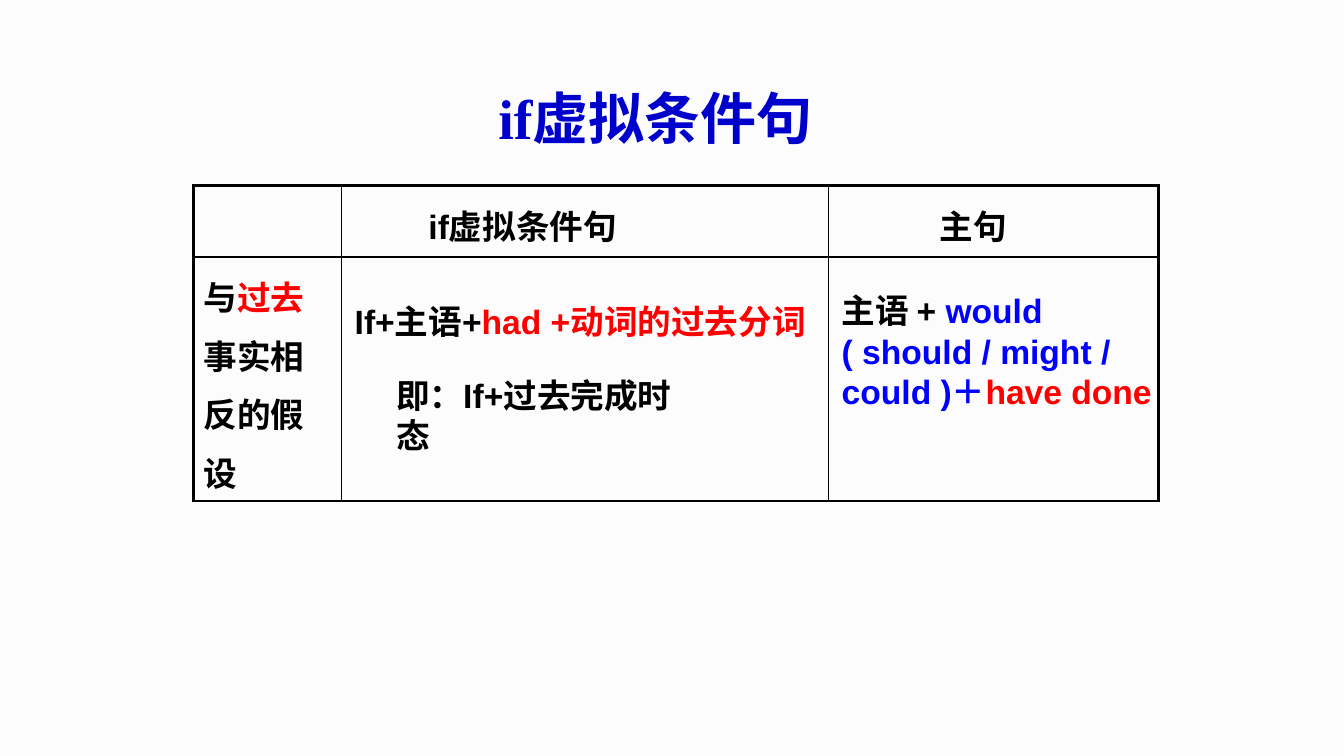
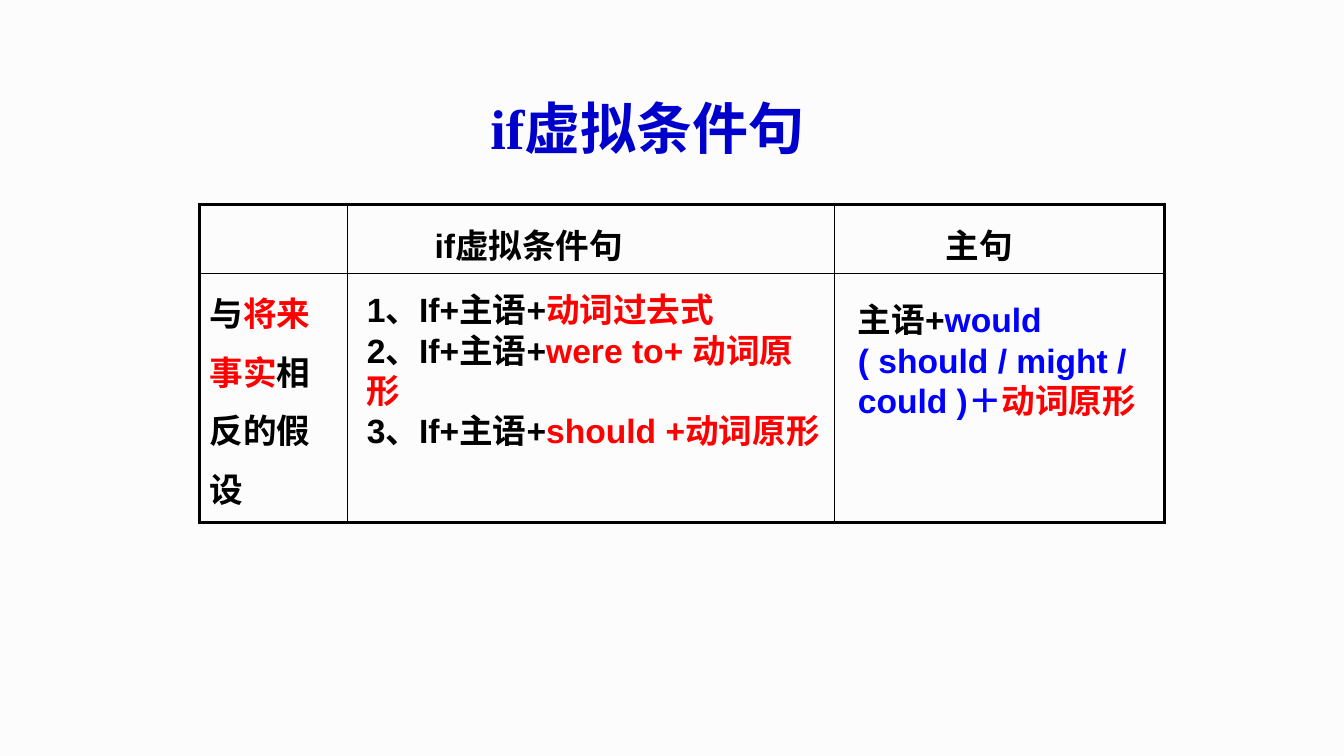
from dataclasses import dataclass
from typing import Any, NamedTuple

from lxml import etree
from pptx import Presentation
from pptx.dml.color import RGBColor
from pptx.enum.text import MSO_ANCHOR, MSO_AUTO_SIZE, PP_ALIGN
from pptx.oxml.ns import qn
from pptx.util import Inches, Pt

TOP = MSO_ANCHOR.TOP
NO_AUTOFIT = MSO_AUTO_SIZE.NONE
GROW_SHAPE = MSO_AUTO_SIZE.SHAPE_TO_FIT_TEXT
LEFT = PP_ALIGN.LEFT
CENTER = PP_ALIGN.CENTER
TITLE_ONLY_LAYOUT = 5

PAPER, BLACK, RED, BLUE, TITLE_BLUE = "FDFCFC", "000000", "FF0000", "0000FF", "0000CC"

TITLE_FONT = {"name": "Times New Roman", "size": Pt(40), "bold": True}
BODY_FONT = {"name": "Arial", "size": Pt(24), "bold": True}
FRAME_FORMAT = {
    "word_wrap": True,
    "vertical_anchor": TOP,
    "margin_left": Inches(0.1),
    "margin_right": Inches(0.1),
    "margin_top": Inches(0.05),
    "margin_bottom": Inches(0.05),
}

TITLE = "if虚拟条件句"
TITLE_SIZE = (7, 0.84)
HEADERS = ("", TITLE, "主句")
HEADER_INDENTS = (0, 0.76, 1)
COLUMN_WIDTHS = (1.47, 4.83, 3.27)
CELL_LINE_SPACING = 1.2
OUTER_BORDER, INNER_BORDER = 2.25, 1
MODALS = "would ( should / might / could )＋"


class Span(NamedTuple):
    text: str
    color: str = BLACK


Line = tuple[Span, ...]


@dataclass(frozen=True)
class Note:
    left: float
    top: float
    width: float
    height: float
    lines: tuple[Line, ...]


@dataclass(frozen=True)
class Lesson:
    title_position: tuple[float, float]
    table_position: tuple[float, float]
    row_heights: tuple[float, float]
    condition: Line
    notes: tuple[Note, ...]


LESSONS = (
    Lesson(
        title_position=(3, 0.78),
        table_position=(1.92, 1.84),
        row_heights=(0.71, 2.22),
        condition=(Span("与"), Span("过去", RED), Span("事实相反的假设")),
        notes=(
            Note(3.42, 2.94, 4.67, 0.5,
                 ((Span("If+主语+"), Span("had +动词的过去分词", RED)),)),
            Note(3.83, 3.67, 3.26, 0.5, ((Span("即：If+过去完成时态"),),)),
            Note(8.25, 2.83, 3.42, 1.72,
                 ((Span("主语 + "), Span(MODALS, BLUE), Span("have done", RED)),)),
        ),
    ),
    Lesson(
        title_position=(2.92, 0.88),
        table_position=(1.98, 2.03),
        row_heights=(0.59, 2.47),
        condition=(Span("与"), Span("将来事实", RED), Span("相反的假设")),
        notes=(
            Note(3.54, 2.82, 4.76, 2.12, (
                (Span("1、If+主语+"), Span("动词过去式", RED)),
                (Span("2、If+主语+"), Span("were to+ 动词原形", RED)),
                (Span("3、If+主语+"), Span("should +动词原形", RED)),
            )),
            Note(8.41, 2.92, 3.25, 1.72,
                 ((Span("主语+"), Span(MODALS, BLUE), Span("动词原形", RED)),)),
        ),
    ),
)


def apply_format(target: Any, values: dict[str, Any]) -> None:
    for name, value in values.items():
        setattr(target, name, value)


def set_color(color_format: Any, color: str) -> None:
    color_format.rgb = RGBColor.from_string(color)


def write_line(paragraph: Any, line: Line, font: dict[str, Any], alignment: Any = LEFT) -> None:
    paragraph.alignment = alignment
    for span in line:
        run = paragraph.add_run()
        run.text = span.text
        apply_format(run.font, font)
        set_color(run.font.color, span.color)


def add_title(slide: Any, position: tuple[float, float]) -> None:
    title = slide.shapes.title
    title.left, title.top, title.width, title.height = map(Inches, position + TITLE_SIZE)
    apply_format(title.text_frame, FRAME_FORMAT | {"auto_size": NO_AUTOFIT})
    write_line(title.text_frame.paragraphs[0], (Span(TITLE, TITLE_BLUE),), TITLE_FONT, CENTER)


def add_note(slide: Any, note: Note) -> None:
    box = slide.shapes.add_textbox(*map(Inches, (note.left, note.top, note.width, note.height)))
    frame = box.text_frame
    apply_format(frame, FRAME_FORMAT | {"auto_size": GROW_SHAPE})
    for index, line in enumerate(note.lines):
        paragraph = frame.add_paragraph() if index else frame.paragraphs[0]
        write_line(paragraph, line, BODY_FONT)


def set_borders(cell: Any, outer_sides: dict[str, bool]) -> None:
    """Draw each side (L, R, T, B), thick where it lies on the table's edge."""
    properties = cell._tc.get_or_add_tcPr()
    for side, is_outer in outer_sides.items():
        width = Pt(OUTER_BORDER if is_outer else INNER_BORDER)
        border = etree.SubElement(properties, qn(f"a:ln{side}"), w=str(width))
        fill = etree.SubElement(border, qn("a:solidFill"))
        etree.SubElement(fill, qn("a:srgbClr"), val=BLACK)


def add_grammar_table(slide: Any, lesson: Lesson) -> None:
    rows = (tuple((Span(header),) if header else () for header in HEADERS),
            (lesson.condition, (), ()))
    last_row, last_column = len(rows) - 1, len(HEADERS) - 1
    size = (sum(COLUMN_WIDTHS), sum(lesson.row_heights))
    table = slide.shapes.add_table(
        len(rows), len(HEADERS), *map(Inches, lesson.table_position + size)).table
    apply_format(table, {"first_row": False, "horz_banding": False})
    for column, width in zip(table.columns, COLUMN_WIDTHS):
        column.width = Inches(width)
    for row_index, (height, lines) in enumerate(zip(lesson.row_heights, rows)):
        table.rows[row_index].height = Inches(height)
        for column_index, line in enumerate(lines):
            cell = table.cell(row_index, column_index)
            set_borders(cell, {
                "L": column_index == 0,
                "R": column_index == last_column,
                "T": row_index == 0,
                "B": row_index == last_row,
            })
            cell.fill.background()
            paragraph = cell.text_frame.paragraphs[0]
            paragraph.line_spacing = CELL_LINE_SPACING
            write_line(paragraph, line, BODY_FONT)
            if row_index == 0:
                indent = Inches(HEADER_INDENTS[column_index])
                paragraph._p.get_or_add_pPr().set("marL", str(indent))


def main() -> None:
    presentation = Presentation()
    presentation.slide_width = Inches(13.33)
    presentation.slide_height = Inches(7.5)
    background = presentation.slide_master.background.fill
    background.solid()
    set_color(background.fore_color, PAPER)
    for lesson in LESSONS:
        slide = presentation.slides.add_slide(presentation.slide_layouts[TITLE_ONLY_LAYOUT])
        add_title(slide, lesson.title_position)
        add_grammar_table(slide, lesson)
        for note in lesson.notes:
            add_note(slide, note)
    presentation.save("out.pptx")


if __name__ == "__main__":
    main()
